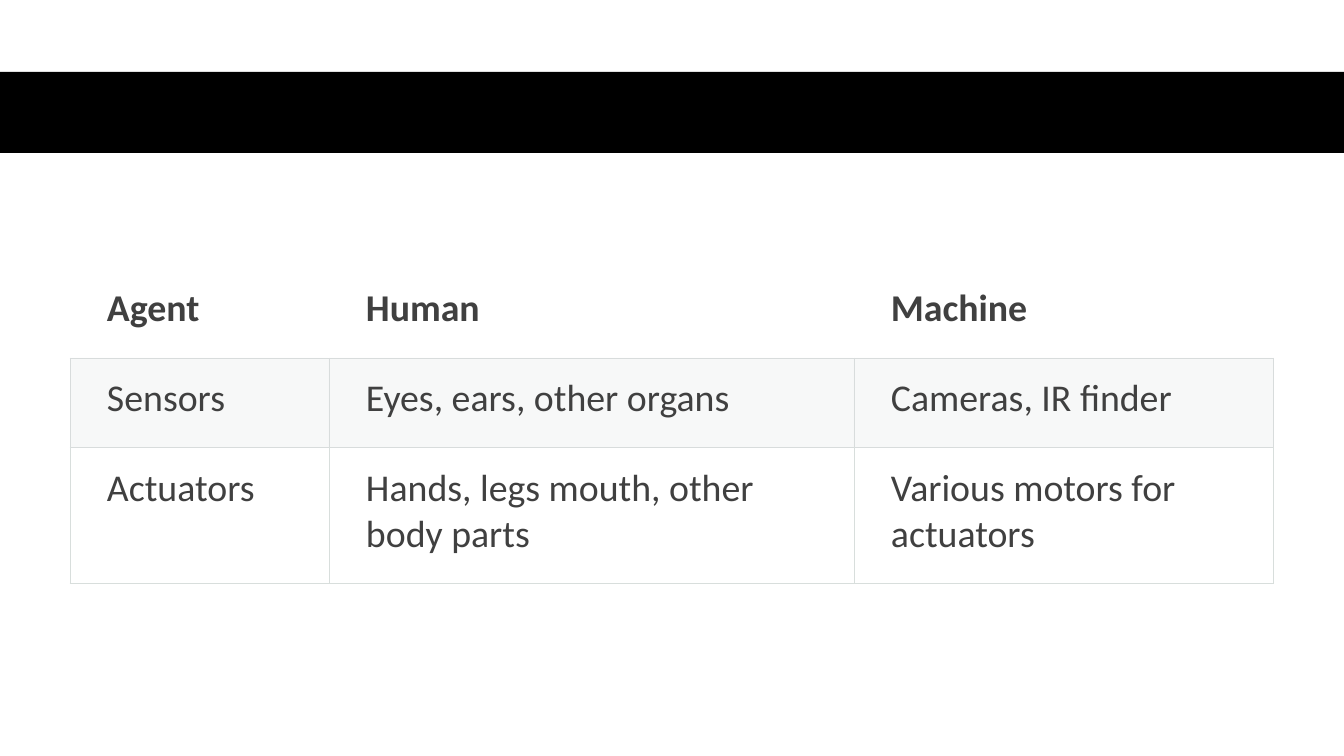
from lxml import etree
from pptx import Presentation
from pptx.dml.color import RGBColor
from pptx.enum.shapes import MSO_SHAPE
from pptx.oxml.ns import qn
from pptx.util import Pt

RECTANGLE = MSO_SHAPE.RECTANGLE
BLACK = RGBColor(0x00, 0x00, 0x00)
TEXT_GRAY = RGBColor(0x40, 0x40, 0x40)
BORDER_GRAY = RGBColor(0xD8, 0xDC, 0xDC)
BAND_GRAY = RGBColor(0xD8, 0xDE, 0xDC)
BAND_OPACITY = 20000  # thousandths of a percent

ROWS = [
    ["Agent", "Human", "Machine"],
    ["Sensors", "Eyes, ears, other organs", "Cameras, IR finder"],
    ["Actuators", "Hands, legs mouth, other body parts", "Various motors for actuators"],
]
COLUMN_WIDTHS = [259, 525, 419]
ROW_HEIGHTS = [90, 90, 136]
HEADER_ROW, BAND_ROW = 0, 1


def px(length):
    return round(length * 914400 / 100.8)


def set_borders(cell, colors):
    """Draw 0.75 pt lines; colors maps sides, in the order L, R, T, B, to a color."""
    properties = cell._tc.get_or_add_tcPr()
    for index, (side, color) in enumerate(colors.items()):
        line = etree.Element(qn(f"a:ln{side}"), w=str(Pt(0.75)))
        fill = etree.SubElement(line, qn("a:solidFill"))
        etree.SubElement(fill, qn("a:srgbClr"), val=str(color))
        properties.insert(index, line)


presentation = Presentation()
presentation.slide_width = px(1344)
presentation.slide_height = px(756)
slide = presentation.slides.add_slide(presentation.slide_layouts[6])

title_band = slide.shapes.add_shape(RECTANGLE, 0, px(72), px(1344), px(81))
title_band.shadow.inherit = False
title_band.fill.solid()
title_band.fill.fore_color.rgb = BLACK
title_band.line.fill.background()

table = slide.shapes.add_table(
    len(ROWS), len(COLUMN_WIDTHS), px(70), px(268),
    px(sum(COLUMN_WIDTHS)), px(sum(ROW_HEIGHTS)),
).table
table.first_row = False
table.horz_banding = False
for column, width in zip(table.columns, COLUMN_WIDTHS):
    column.width = px(width)

for row_index, texts in enumerate(ROWS):
    table.rows[row_index].height = px(ROW_HEIGHTS[row_index])
    for column_index, text in enumerate(texts):
        cell = table.cell(row_index, column_index)
        cell.margin_left, cell.margin_right = px(37), px(35)
        cell.margin_top = cell.margin_bottom = px(18)
        run = cell.text_frame.paragraphs[0].add_run()
        run.text = text
        run.font.name = "Calibri"
        run.font.size = Pt(27)
        run.font.bold = row_index == HEADER_ROW
        run.font.color.rgb = TEXT_GRAY

        if row_index == BAND_ROW:
            cell.fill.solid()
            cell.fill.fore_color.rgb = BAND_GRAY
            band_color = cell._tc.tcPr.find(f".//{qn('a:srgbClr')}")
            etree.SubElement(band_color, qn("a:alpha"), val=str(BAND_OPACITY))
        else:
            cell.fill.background()

        if row_index == HEADER_ROW:
            set_borders(cell, {"B": BORDER_GRAY})
        elif row_index == BAND_ROW:
            set_borders(cell, dict.fromkeys("LRTB", BORDER_GRAY))
        else:
            set_borders(cell, {**dict.fromkeys("LRTB", BAND_GRAY), "T": BORDER_GRAY})

presentation.save("out.pptx")
